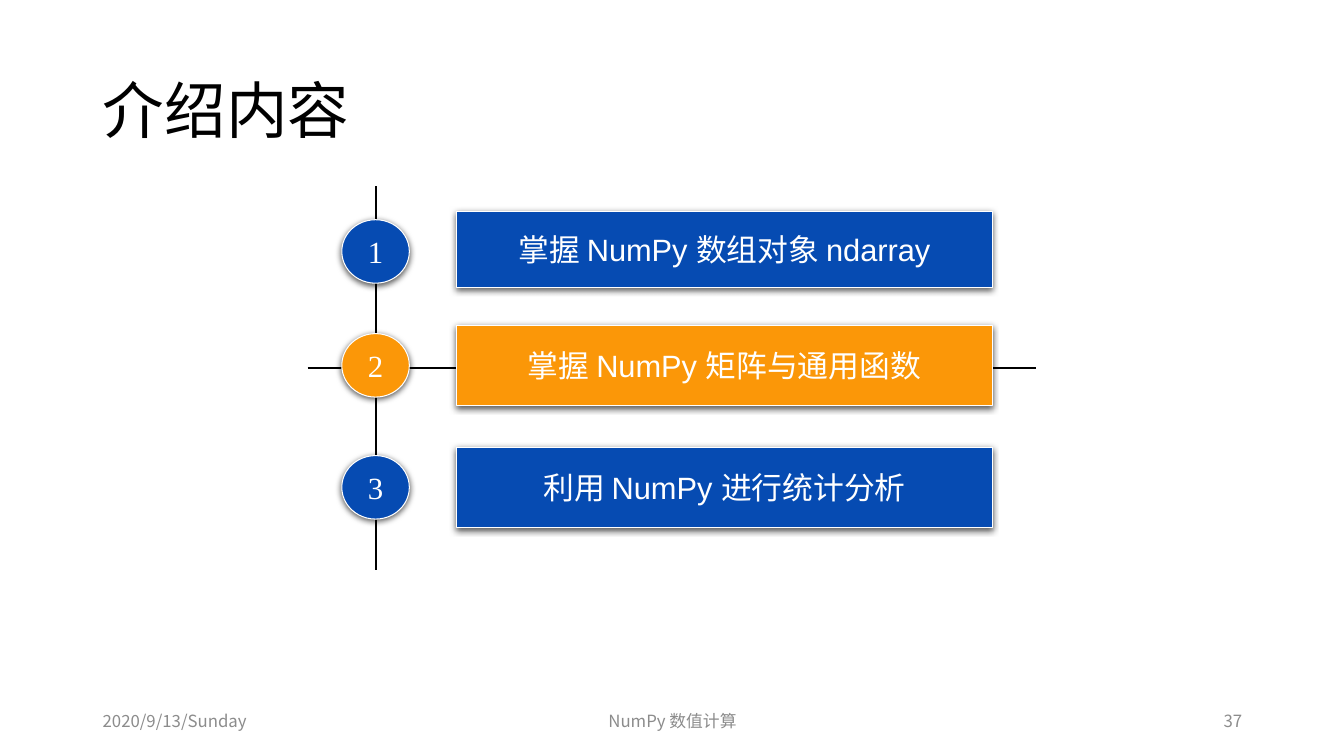
import lxml.etree
import pptx
import pptx.dml.color
import pptx.enum.shapes
import pptx.enum.text
import pptx.oxml.ns
import pptx.util

BLUE, ORANGE, WHITE, BLACK, GRAY = "064BB2", "FB9708", "FFFFFF", "000000", "8C8C8C"
CJK = "Noto Sans CJK SC"
WIDTH, HEIGHT = 13.33, 7.5
TITLE = "介绍内容"
TOPICS = [
    ("掌握 NumPy 数组对象 ndarray", BLUE, 2.1, 0.75),
    ("掌握 NumPy 矩阵与通用函数", ORANGE, 3.23, 0.79),
    ("利用 NumPy 进行统计分析", BLUE, 4.44, 0.79),
]
FOOTERS = [
    ("2020/9/13/Sunday", 0.92, 3, "LEFT"),
    ("NumPy 数值计算", 4.42, 4.5, "CENTER"),
    ("37", 9.42, 3, "RIGHT"),
]
AXES = [(3.73, 1.85, 3.73, 5.65), (3.05, 3.65, 10.28, 3.65)]
BAR_LEFT, BAR_WIDTH = 4.53, 5.31
BADGE_LEFT, BADGE_DROP, BADGE_WIDTH, BADGE_HEIGHT = 3.39, 0.08, 0.67, 0.63
SHADOW = {"blurRad": 4.5, "dist": 1.5}


def color(value):
    return pptx.dml.color.RGBColor.from_string(value)


def inches(*lengths):
    return [pptx.util.Inches(length) for length in lengths]


def add_child(parent, tag, **attributes):
    return lxml.etree.SubElement(parent, pptx.oxml.ns.qn(tag), attributes)


def write(box, text, size, font, ink, align="CENTER", wrap=True):
    frame = box.text_frame
    settings = {"word_wrap": wrap, "vertical_anchor": pptx.enum.text.MSO_ANCHOR.MIDDLE}
    for name, value in settings.items():
        setattr(frame, name, value)
    para = frame.paragraphs[0]
    para.alignment = getattr(pptx.enum.text.PP_ALIGN, align)
    span = para.add_run()
    span.text = text
    for name, value in {"size": pptx.util.Pt(size), "name": font}.items():
        setattr(span.font, name, value)
    span.font.color.rgb = color(ink)
    add_child(span.font._element, "a:ea", typeface=CJK)
    return para


def add_marker(page, kind, place, fill, text, font):
    shape = page.shapes.add_shape(kind, *inches(*place))
    shape.fill.solid()
    shape.fill.fore_color.rgb = color(fill)
    shape.line.color.rgb = color(WHITE)
    shape.line.width = pptx.util.Pt(0.75)
    shape.shadow.inherit = False
    effects = shape._element.spPr.find(pptx.oxml.ns.qn("a:effectLst"))
    lengths = {name: str(int(pptx.util.Pt(value))) for name, value in SHADOW.items()}
    shadow = add_child(effects, "a:outerShdw", dir="5400000", rotWithShape="0", **lengths)
    tint = add_child(shadow, "a:srgbClr", val=BLACK)
    add_child(tint, "a:alpha", val="63000")
    write(shape, text, 22, font, WHITE, wrap=False)


def add_axis(page, ends):
    axis = page.shapes.add_connector(pptx.enum.shapes.MSO_CONNECTOR.STRAIGHT, *inches(*ends))
    axis.line.color.rgb = color(BLACK)
    axis.line.width = pptx.util.Pt(1)
    add_child(axis._element.spPr, "a:effectLst")


def main():
    deck = pptx.Presentation()
    deck.slide_width, deck.slide_height = inches(WIDTH, HEIGHT)
    page = deck.slides.add_slide(deck.slide_layouts[5])

    title = page.shapes.title
    title.left, title.top, title.width, title.height = inches(0.92, 0.4, 11.5, 1.45)
    write(title, TITLE, 44, CJK, BLACK, "LEFT").line_spacing = 0.9

    for text, left, width, align in FOOTERS:
        box = page.shapes.add_textbox(*inches(left, 6.95, width, 0.4))
        write(box, text, 12, CJK, GRAY, align)

    for ends in AXES:
        add_axis(page, ends)

    kinds = pptx.enum.shapes.MSO_SHAPE
    for number, (text, fill, top, height) in enumerate(TOPICS, 1):
        bar = (BAR_LEFT, top, BAR_WIDTH, height)
        badge = (BADGE_LEFT, top + BADGE_DROP, BADGE_WIDTH, BADGE_HEIGHT)
        add_marker(page, kinds.ACTION_BUTTON_CUSTOM, bar, fill, text, "Arial")
        add_marker(page, kinds.OVAL, badge, fill, str(number), "Times New Roman")

    deck.save("out.pptx")


if __name__ == "__main__":
    main()
